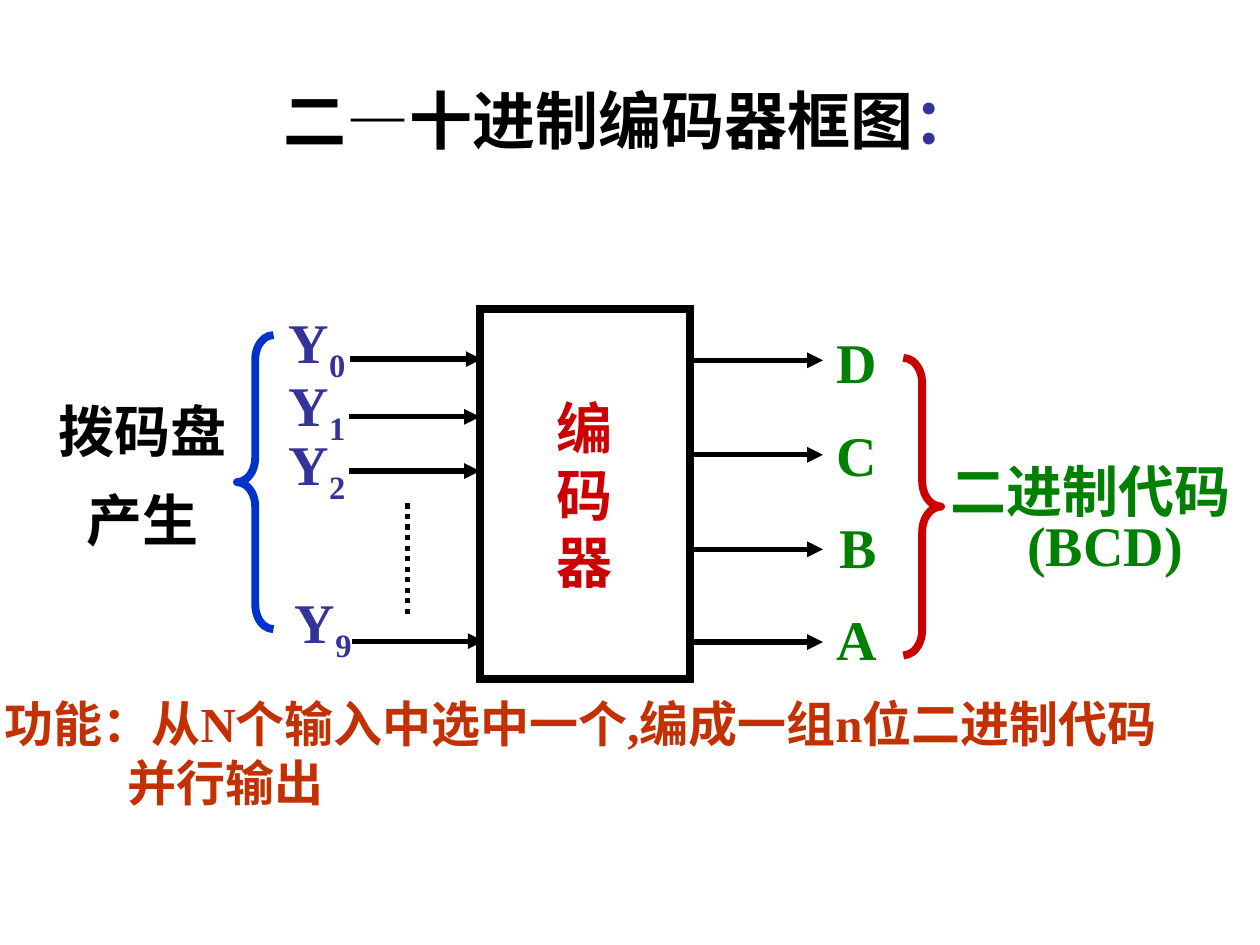
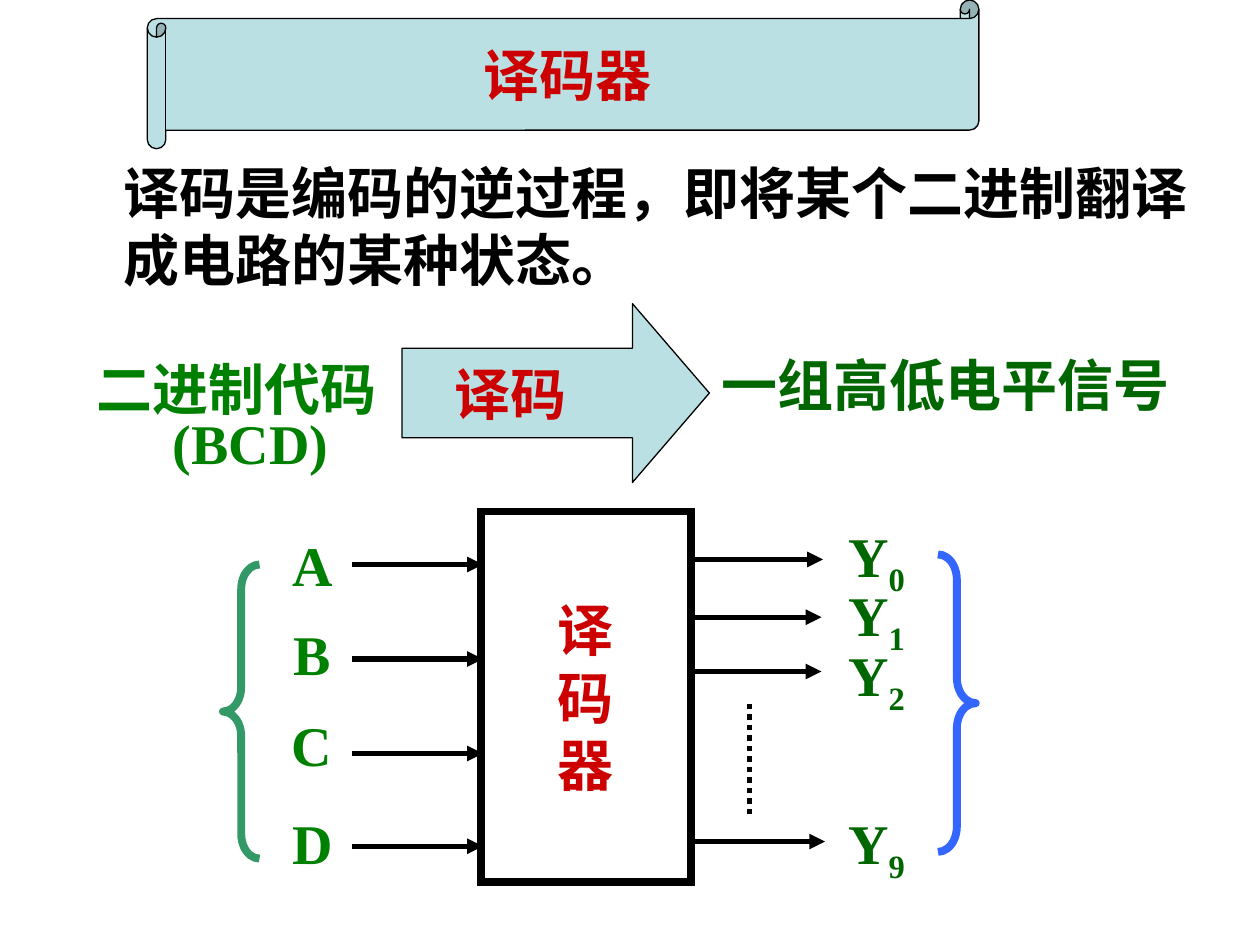
"""Build two slides: the decimal encoder block diagram and the decoder."""
from lxml import etree
from pptx import Presentation
from pptx.dml.color import RGBColor
from pptx.enum import dml, shapes, text
from pptx.oxml.ns import qn
from pptx.util import Pt

rgb = RGBColor.from_string
BLACK, RED, GREEN, DARK_GREEN = "000000", "CC0000", "008000", "006600"
INDIGO, RUST, PALE = "333399", "C33103", "BBE0E3"
CENTER, LEFT = text.PP_ALIGN.CENTER, text.PP_ALIGN.LEFT
TOP, MIDDLE = text.MSO_ANCHOR.TOP, text.MSO_ANCHOR.MIDDLE


def write(shape, lines, colour, size=32, align=CENTER, anchor=TOP, wrap=True,
          spacing=None, before=0, indent=0):
    """Write lines of runs; every run after a line's first is a subscript."""
    frame = shape.text_frame
    frame.word_wrap = wrap
    frame.vertical_anchor = anchor
    for number, line in enumerate(lines):
        paragraph = frame.add_paragraph() if number else frame.paragraphs[0]
        paragraph.alignment = align
        if spacing:
            paragraph.line_spacing = spacing
        if number:
            paragraph.space_before = Pt(before)
            if indent:
                properties = paragraph._p.get_or_add_pPr()
                properties.set("marL", str(Pt(indent)))
                properties.set("indent", "0")
        for position, words in enumerate(line):
            run = paragraph.add_run()
            run.text = words
            run.font.name = "Times New Roman"
            run.font.size = Pt(size)
            run.font.bold = True
            run.font.color.rgb = rgb(colour)
            if position:
                run._r.get_or_add_rPr().set("baseline", "-25000")


def draw(slide, kind, box, line, width, fill=None):
    """Add a preset shape, or a wire from (x, y) to (x, y) when kind is None."""
    lengths = [Pt(value) for value in box]
    if kind is None:
        part = slide.shapes.add_connector(shapes.MSO_CONNECTOR.STRAIGHT, *lengths)
        etree.SubElement(part._element.spPr, qn("a:effectLst"))
    else:
        part = slide.shapes.add_shape(kind, *lengths)
        part.shadow.inherit = False
        if fill:
            part.fill.solid()
            part.fill.fore_color.rgb = rgb(fill)
        else:
            part.fill.background()
    part.line.color.rgb = rgb(line)
    part.line.width = Pt(width)
    return part


deck = Presentation()
deck.slide_width, deck.slide_height = Pt(720), Pt(540)
encoder = deck.slides.add_slide(deck.slide_layouts[5])
decoder = deck.slides.add_slide(deck.slide_layouts[6])

title = encoder.shapes.title
title.left, title.top, title.width, title.height = Pt(36), Pt(33.8), Pt(648), Pt(59.8)
title.text_frame.vertical_anchor = text.MSO_ANCHOR.BOTTOM
title.text_frame.auto_size = text.MSO_AUTO_SIZE.NONE
heading = title.text_frame.paragraphs[0]
heading.alignment = CENTER
for words, font, colour in (("二", "Arial", BLACK), ("—", "Times New Roman", BLACK),
                            ("十进制编码器框图", "Arial", BLACK), ("：", "Arial", INDIGO)):
    run = heading.add_run()
    run.text = words
    run.font.size = Pt(36)
    run.font.bold = True
    run.font.color.rgb = rgb(colour)
    run.font.name = font

digit_offsets = ((0, 0), (-0.9, 33), (-0.9, 64), (1.2, 161.2))
bit_offsets = ((0, 0), (0, 54), (0, 108), (0, 161))
diagrams = (
    (encoder, "编码器", (274.3, 176.4), (200.2, 205.2), (395.3, 205.9)),
    (decoder, "译码器", (275, 292.3), (395.3, 319.7), (200.9, 322.6)),
)
for slide, name, corner, digit_start, bit_start in diagrams:
    block = draw(slide, shapes.MSO_SHAPE.RECTANGLE, (*corner, 119.8, 211.7), BLACK, 4.5)
    etree.SubElement(block._element.spPr.find(qn("a:ln")), qn("a:miter"), lim="800000")
    write(block, [(character,) for character in name], RED, anchor=MIDDLE, wrap=False)
    for (x, y), offsets in ((digit_start, digit_offsets), (bit_start, bit_offsets)):
        for dx, dy in offsets:
            wire = draw(slide, None, (x + dx, y + dy, x + dx + 75, y + dy), BLACK, 3)
            etree.SubElement(wire._element.spPr.find(qn("a:ln")), qn("a:tailEnd"),
                             type="triangle")
    x, y = digit_start
    omitted = draw(slide, None, (x + 32.8, y + 82.5, x + 32.8, y + 147.3), BLACK, 3)
    omitted.line.dash_style = dml.MSO_LINE.ROUND_DOT

signals = (
    (encoder, INDIGO, 54, (("Y0", 154.1, 172.1), ("Y1", 154.1, 208.1),
                           ("Y2", 154.1, 241.9), ("Y9", 157.7, 331.9))),
    (encoder, GREEN, 67, (("D", 455.8, 183.6), ("C", 455.8, 236.9),
                          ("B", 457.2, 289.4), ("A", 455.8, 342))),
    (decoder, DARK_GREEN, 54, (("Y0", 473.8, 294.5), ("Y1", 473.8, 328.3),
                               ("Y2", 473.8, 362.2), ("Y9", 473.8, 458.6))),
    (decoder, GREEN, 67, (("A", 145.4, 299.5), ("B", 144.7, 350.6),
                          ("C", 144.7, 402.5), ("D", 145.4, 458.6))),
)
for slide, colour, width, labels in signals:
    for name, left, top in labels:
        label = slide.shapes.add_textbox(Pt(left), Pt(top), Pt(width), Pt(46))
        write(label, [tuple(name)], colour)

left_brace, right_brace = shapes.MSO_SHAPE.LEFT_BRACE, shapes.MSO_SHAPE.RIGHT_BRACE
for slide, kind, box, colour in (
    (encoder, left_brace, (135.4, 191.5, 20.9, 168), "0033CC"),
    (encoder, right_brace, (516.2, 204.5, 21.6, 170), RED),
    (decoder, left_brace, (127.4, 322.6, 20.9, 168), "339966"),
    (decoder, right_brace, (536, 316.8, 21.6, 170), "3366FF"),
):
    brace = draw(slide, kind, box, colour, 4.5)
    brace.adjustments[0] = 0.67

arrow = draw(decoder, shapes.MSO_SHAPE.RIGHT_ARROW, (229.7, 173.5, 175.7, 102.2),
             BLACK, 0.75, PALE)
arrow.adjustments[0], arrow.adjustments[1] = 0.5, 0.43
banner = draw(decoder, shapes.MSO_SHAPE.HORIZONTAL_SCROLL, (84.2, 0, 475.2, 85),
              BLACK, 0.75, PALE)
write(banner, [("译码器",)], RED, anchor=MIDDLE, wrap=False)

bcd = [("二进制代码",), ("(BCD)",)]
for slide, box, lines, colour, style in (
    (encoder, (20.9, 230.4, 121.7, 88.6), [("拨码盘",), ("产生",)], BLACK,
     {"spacing": 0.8, "before": 20}),
    (encoder, (535, 265, 177, 69), bcd, GREEN, {"spacing": 0.8, "indent": 16}),
    (encoder, (-4.3, 392.4, 724, 74.9),
     [("功能：从N个输入中选中一个,编成一组n位二进制代码",), ("并行输出",)], RUST,
     {"size": 28, "align": LEFT, "anchor": MIDDLE, "indent": 70}),
    (decoder, (63.4, 87.1, 642.2, 84.2),
     [("译码是编码的逆过程，即将某个二进制翻译成电路的某种状态。",)], BLACK, {"align": LEFT}),
    (decoder, (46.8, 206.6, 177, 69), bcd, GREEN, {"spacing": 0.8, "indent": 16}),
    (decoder, (405.4, 196.6, 283.7, 46), [("一组高低电平信号",)], DARK_GREEN, {"align": LEFT}),
    (decoder, (252.7, 201.6, 187.2, 46), [("译码",)], RED, {"align": LEFT}),
):
    note = slide.shapes.add_textbox(*(Pt(value) for value in box))
    write(note, lines, colour, **style)

deck.save("out.pptx")
